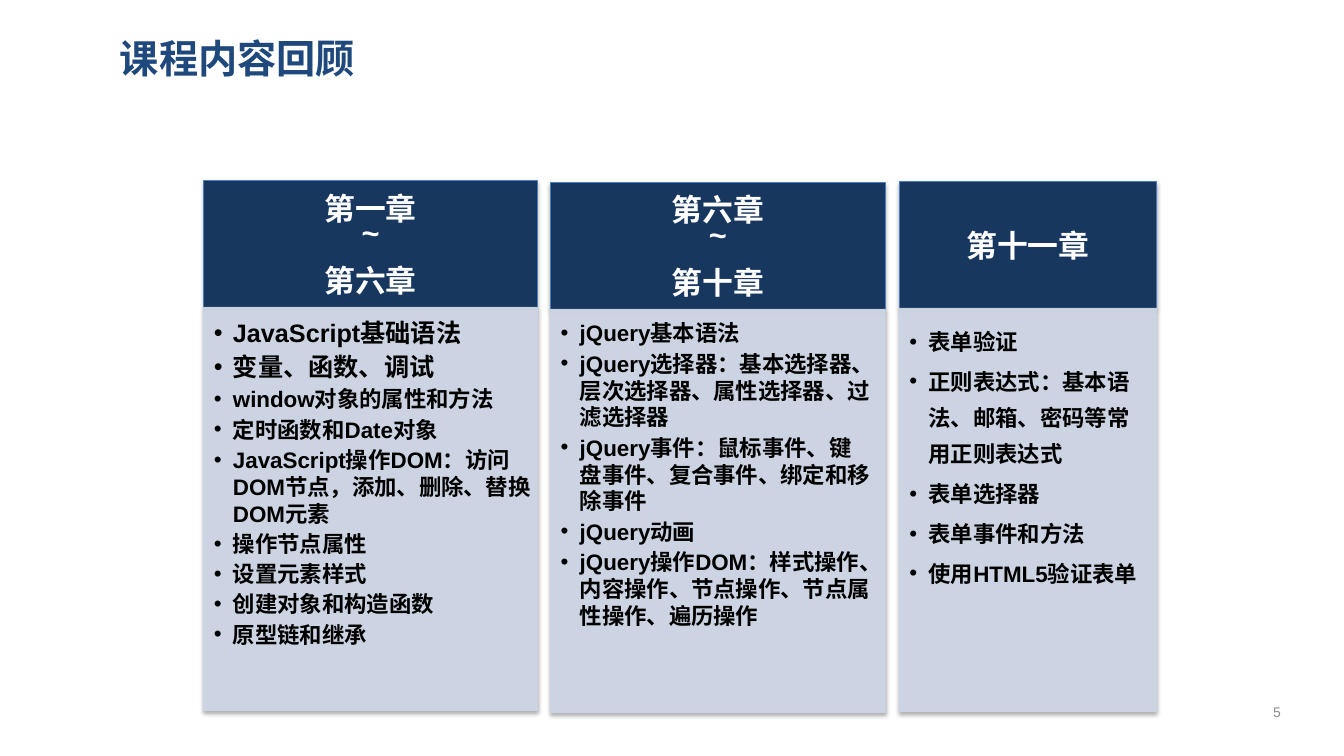
from dataclasses import dataclass

from lxml import etree
from pptx import Presentation
from pptx.dml.color import RGBColor
from pptx.enum.shapes import MSO_SHAPE
from pptx.enum.text import MSO_ANCHOR, MSO_AUTO_SIZE, PP_ALIGN
from pptx.oxml.ns import qn
from pptx.util import Inches, Pt

RECT = MSO_SHAPE.RECTANGLE
MIDDLE, TOP = MSO_ANCHOR.MIDDLE, MSO_ANCHOR.TOP
LEFT, CENTER = PP_ALIGN.LEFT, PP_ALIGN.CENTER


@dataclass
class Theme:
    title: str = "1F497D"
    head: str = "17375E"
    edge: str = "4B7EBC"
    panel: str = "D0D8E8"
    rim: str = "CBD3E3"
    ink: str = "000000"
    white: str = "FFFFFF"
    grey: str = "8C8C8C"
    latin: str = "Arial"
    han: str = "Noto Sans CJK SC"
    big: int = 28
    mid: int = 22
    lead: int = 18
    base: int = 16
    tiny: int = 10


theme = Theme()


def write(shape, lines, sizes, color, pads, anchor, align, bold=True, after=0):
    """Fill a shape with one paragraph per line; after is a share of the size."""
    frame = shape.text_frame
    frame.text = "\n".join(lines)
    frame.word_wrap = True
    frame.auto_size = MSO_AUTO_SIZE.NONE
    frame.vertical_anchor = anchor
    (frame.margin_left, frame.margin_top,
     frame.margin_right, frame.margin_bottom) = map(Inches, pads)
    for par, size in zip(frame.paragraphs, sizes):
        par.alignment = align
        par.space_before = Pt(0)
        par.space_after = Pt(size * after)
        font = par.runs[0].font
        font.size, font.bold, font.name = Pt(size), bold, theme.latin
        font.color.rgb = RGBColor.from_string(color)


def paint(shape, fill, line, width, alpha=100):
    """Set fill, outline and a soft shadow straight below."""
    shape.fill.solid()
    shape.fill.fore_color.rgb = RGBColor.from_string(fill)
    shape.line.color.rgb = RGBColor.from_string(line)
    shape.line.width = Pt(width)
    shape.shadow.inherit = False
    props = shape.element.spPr
    for tone in props.iter(qn("a:srgbClr")):
        etree.SubElement(tone, qn("a:alpha"), val=str(alpha * 1000))
    shade = etree.SubElement(
        props.find(qn("a:effectLst")), qn("a:outerShdw"), blurRad=str(Pt(3.1)),
        dist=str(Pt(1.8)), dir="5400000", rotWithShape="0")
    tone = etree.SubElement(shade, qn("a:srgbClr"), val=theme.ink)
    etree.SubElement(tone, qn("a:alpha"), val="35000")


# left, top, width, right pad, line pitch, count of lead items, head, items
columns = [
    (2.02, 1.79, 3.31, 0.01, None, 2, ["第一章", "~", "第六章"], [
        "JavaScript基础语法", "变量、函数、调试", "window对象的属性和方法",
        "定时函数和Date对象",
        "JavaScript操作DOM：访问DOM节点，添加、删除、替换DOM元素",
        "操作节点属性", "设置元素样式", "创建对象和构造函数", "原型链和继承"]),
    (5.46, 1.81, 3.32, 0.14, None, 0, ["第六章", "~", "第十章"], [
        "jQuery基本语法",
        "jQuery选择器：基本选择器、层次选择器、属性选择器、过滤选择器",
        "jQuery事件：鼠标事件、键盘事件、复合事件、绑定和移除事件",
        "jQuery动画",
        "jQuery操作DOM：样式操作、内容操作、节点操作、节点属性操作、遍历操作"]),
    (8.92, 1.8, 2.55, 0.14, 26, 0, ["第十一章"], [
        "表单验证", "正则表达式：基本语法、邮箱、密码等常用正则表达式",
        "表单选择器", "表单事件和方法", "使用HTML5验证表单"]),
]
HEAD, BODY = 1.26, 4

deck = Presentation()
deck.slide_width, deck.slide_height = Inches(13.33), Inches(7.5)
slide = deck.slides.add_slide(deck.slide_layouts.get_by_name("Comparison"))
title, *bodies, spare = slide.placeholders
spare.element.getparent().remove(spare.element)

title.left, title.top, title.width, title.height = map(
    Inches, (1.1, 0.24, 11.65, 0.67))
write(title, ["课程内容回顾"], [theme.big], theme.title,
      (0.09, 0.04, 0.09, 0.04), MIDDLE, LEFT)
title.text_frame.paragraphs[0].runs[0].font.name = theme.han

for panel, column in zip(bodies, columns):
    left, top, width, pad, pitch, leads, names, items = column
    head = slide.shapes.add_shape(
        RECT, *map(Inches, (left, top, width, HEAD)))
    panel.element.addprevious(head.element)
    paint(head, theme.head, theme.edge, 0.4)
    write(head, names, [theme.mid] * len(names), theme.white,
          (0.17, 0.1, 0.17, 0.1), MIDDLE, CENTER, after=0.35)
    for par in head.text_frame.paragraphs:
        if par.text == "~":
            par.line_spacing = Pt(10)

    panel.left, panel.top, panel.width, panel.height = map(
        Inches, (left, top + HEAD, width, BODY))
    paint(panel, theme.panel, theme.rim, 0.75, 90)
    sizes = [theme.lead] * leads + [theme.base] * (len(items) - leads)
    write(panel, items, sizes, theme.ink,
          (0.1, 0.1, pad, 0.16), TOP, LEFT, after=0.15)
    for par in panel.text_frame.paragraphs:
        if pitch:
            par.line_spacing = Pt(pitch)
    for props in panel.element.iter(qn("a:pPr")):
        props.set("marL", str(Inches(0.19)))
        props.set("indent", str(-Inches(0.19)))
        etree.SubElement(props, qn("a:buFont"), typeface=theme.latin)
        etree.SubElement(props, qn("a:buChar"), char="•")

number = slide.shapes.add_textbox(*map(Inches, (12.34, 6.86, 0.65, 0.4)))
write(number, ["5"], [theme.tiny], theme.grey,
      (0.09, 0.04, 0.09, 0.04), MIDDLE, CENTER, bold=False)

for props in slide.element.iter(qn("a:rPr")):
    props.set("lang", "en-US")
    props.set("altLang", "zh-CN")
    etree.SubElement(props, qn("a:ea"), typeface=theme.han)

deck.save("out.pptx")
